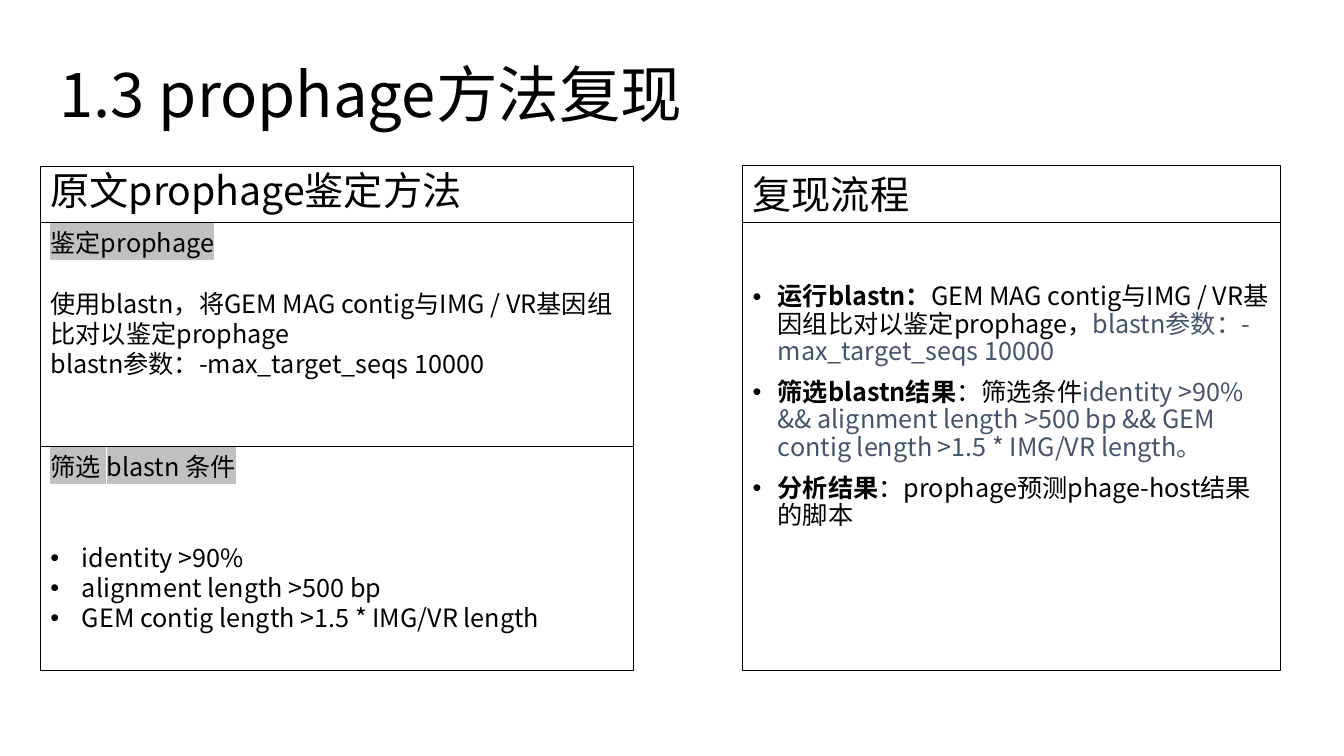
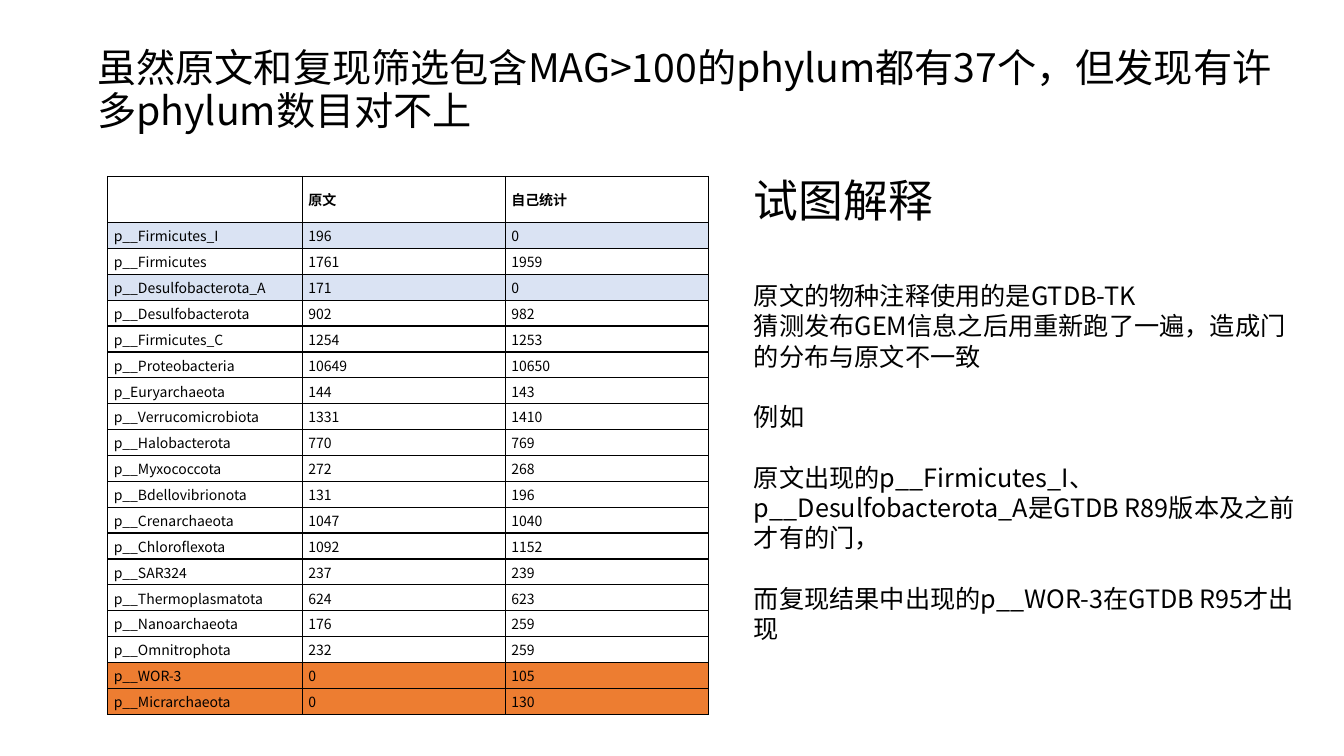
from lxml.etree import SubElement
from pptx import Presentation
from pptx.dml.color import RGBColor
from pptx.enum.shapes import MSO_SHAPE
from pptx.enum.text import MSO_ANCHOR, PP_ALIGN
from pptx.oxml.ns import qn
from pptx.util import Pt

FONT = "Noto Sans CJK SC"
BLACK = RGBColor(0x00, 0x00, 0x00)
WHITE = RGBColor(0xFF, 0xFF, 0xFF)
SLATE = RGBColor(0x44, 0x54, 0x6A)
GREY = RGBColor(0xC0, 0xC0, 0xC0)
PALE_BLUE = RGBColor(0xDA, 0xE3, 0xF3)
ORANGE = RGBColor(0xED, 0x7D, 0x31)
TIGHT = 0.9

# A paragraph is a list of (text, look) runs plus its format.
PLAIN, BOLD, ACCENT, MARKED = "plain", "bold", "accent", "marked"


def para(*runs, size=18, before=0, line=1.0, hang=0):
    runs = [(run, PLAIN) if isinstance(run, str) else run for run in runs]
    return dict(runs=runs, size=size, before=before, line=line, hang=hang)


def step(*runs):
    return para(*runs, before=10, line=TIGHT, hang=18)


METHOD_TITLE = para("1.3 prophage方法复现", size=44, line=TIGHT)
# (left, top, width, height), top inset, paragraphs
METHOD_BOXES = [
    ((29, 119, 423.5, 40), 3.6,
     [para("原文prophage鉴定方法", size=28, line=TIGHT)]),
    ((29, 159, 423.5, 160), 3.6, [
        para(("鉴定prophage", MARKED)),
        para("使用blastn，将GEM MAG contig与IMG / VR基因组比对以鉴定prophage",
             before=21.6),
        para("blastn参数：-max_target_seqs 10000"),
    ]),
    ((29, 319, 423.5, 160), 3.6, [
        para(("筛选 blastn 条件", MARKED)),
        para("identity >90%", before=43.2, hang=22.5),
        para("alignment length >500 bp", hang=22.5),
        para("GEM contig length >1.5 * IMG/VR length", hang=22.5),
    ]),
    ((530.5, 159, 384.5, 320), 44, [
        step(("运行blastn：", BOLD),
             "GEM MAG contig与IMG / VR基因组比对以鉴定prophage，",
             ("blastn参数：-max_target_seqs 10000", ACCENT)),
        step(("筛选blastn结果", BOLD), "：筛选条件",
             ("identity >90% && alignment length >500 bp && "
              "GEM contig length >1.5 * IMG/VR length。", ACCENT)),
        step(("分析结果", BOLD), "：prophage预测phage-host结果的脚本"),
    ]),
    ((530.5, 118, 384.5, 41), 3.6, [para("复现流程", size=28)]),
]

PHYLUM_TITLE = para(
    "虽然原文和复现筛选包含MAG>100的phylum都有37个，但发现有许多phylum数目对不上",
    size=28, line=TIGHT)
PHYLUM_HEADER = ("", "原文", "自己统计")
PHYLUM_COUNTS = [
    ("p__Firmicutes_I", 196, 0),
    ("p__Firmicutes", 1761, 1959),
    ("p__Desulfobacterota_A", 171, 0),
    ("p__Desulfobacterota", 902, 982),
    ("p__Firmicutes_C", 1254, 1253),
    ("p__Proteobacteria", 10649, 10650),
    ("p_Euryarchaeota", 144, 143),
    ("p__Verrucomicrobiota", 1331, 1410),
    ("p__Halobacterota", 770, 769),
    ("p__Myxococcota", 272, 268),
    ("p__Bdellovibrionota", 131, 196),
    ("p__Crenarchaeota", 1047, 1040),
    ("p__Chloroflexota", 1092, 1152),
    ("p__SAR324", 237, 239),
    ("p__Thermoplasmatota", 624, 623),
    ("p__Nanoarchaeota", 176, 259),
    ("p__Omnitrophota", 232, 259),
    ("p__WOR-3", 0, 105),
    ("p__Micrarchaeota", 0, 130),
]
PHYLUM_COLUMNS = (139, 145, 145)
HEADER_HEIGHT, ROW_HEIGHT = 33, 18.5
EXPLANATION = [
    para("试图解释", size=32),
    para("原文的物种注释使用的是GTDB-TK", before=38.4),
    para("猜测发布GEM信息之后用重新跑了一遍，造成门的分布与原文不一致"),
    para("例如", before=21.6),
    para("原文出现的p__Firmicutes_I、p__Desulfobacterota_A是GTDB R89版本及之前才有的门，",
         before=21.6),
    para("而复现结果中出现的p__WOR-3在GTDB R95才出现", before=21.6),
]


def set_font(font, size, bold=False):
    font.size, font.bold, font.name = Pt(size), bold, FONT
    font.color.rgb = BLACK


def set_east_asian(paragraph):
    properties = paragraph._p.get_or_add_pPr().find(qn("a:defRPr"))
    SubElement(properties, qn("a:ea"), typeface=FONT)


def add_run(paragraph, text, look):
    run = paragraph.add_run()
    run.text = text
    if look == BOLD:
        run.font.bold = True
    elif look == ACCENT:
        run.font.color.rgb = SLATE
    elif look == MARKED:
        highlight = SubElement(run._r.get_or_add_rPr(), qn("a:highlight"))
        SubElement(highlight, qn("a:srgbClr"), val=str(GREY))


def write(frame, paragraphs, anchor=MSO_ANCHOR.TOP):
    frame.word_wrap = True
    frame.vertical_anchor = anchor
    for index, content in enumerate(paragraphs):
        paragraph = frame.add_paragraph() if index else frame.paragraphs[0]
        paragraph.alignment = PP_ALIGN.LEFT
        paragraph.line_spacing = content["line"]
        paragraph.space_before = Pt(content["before"])
        if content["hang"]:
            properties = paragraph._p.get_or_add_pPr()
            properties.set("marL", str(Pt(content["hang"])))
            properties.set("indent", str(-Pt(content["hang"])))
            SubElement(properties, qn("a:buFont"), typeface="Arial")
            SubElement(properties, qn("a:buChar"), char="•")
        set_font(paragraph.font, content["size"])
        set_east_asian(paragraph)
        for text, look in content["runs"]:
            add_run(paragraph, text, look)


def add_text(slide, place, paragraphs, anchor=MSO_ANCHOR.TOP):
    box = slide.shapes.add_textbox(*map(Pt, place))
    write(box.text_frame, paragraphs, anchor)


def add_framed_text(slide, place, top_inset, paragraphs):
    box = slide.shapes.add_shape(MSO_SHAPE.RECTANGLE, *map(Pt, place))
    box.shadow.inherit = False
    box.fill.background()
    box.line.color.rgb = BLACK
    box.line.width = Pt(0.75)
    box.text_frame.margin_top = Pt(top_inset)
    write(box.text_frame, paragraphs)


def add_borders(cell):
    properties = cell._tc.get_or_add_tcPr()
    for side in ("a:lnL", "a:lnR", "a:lnT", "a:lnB"):
        border = SubElement(properties, qn(side), w=str(Pt(1)))
        fill = SubElement(border, qn("a:solidFill"))
        SubElement(fill, qn("a:srgbClr"), val=str(BLACK))


def row_colour(original, recount):
    """Highlights phyla that only one of the two counts contains."""
    if recount == 0:
        return PALE_BLUE
    return ORANGE if original == 0 else WHITE


def fill_cell(cell, text, colour, bold):
    add_borders(cell)
    cell.fill.solid()
    cell.fill.fore_color.rgb = colour
    cell.vertical_anchor = MSO_ANCHOR.MIDDLE
    cell.margin_left = cell.margin_right = Pt(4.3)
    cell.margin_top = cell.margin_bottom = Pt(2.2)
    paragraph = cell.text_frame.paragraphs[0]
    set_font(paragraph.font, 10, bold)
    set_east_asian(paragraph)
    if text:
        add_run(paragraph, text, PLAIN)


def add_phylum_table(slide, left, top):
    rows = [PHYLUM_HEADER] + PHYLUM_COUNTS
    height = HEADER_HEIGHT + ROW_HEIGHT * len(PHYLUM_COUNTS)
    table = slide.shapes.add_table(
        len(rows), len(PHYLUM_COLUMNS), Pt(left), Pt(top),
        Pt(sum(PHYLUM_COLUMNS)), Pt(height)).table
    table.first_row = table.horz_banding = False
    for column, width in zip(table.columns, PHYLUM_COLUMNS):
        column.width = Pt(width)
    for index, values in enumerate(rows):
        is_header = index == 0
        table.rows[index].height = Pt(HEADER_HEIGHT if is_header else ROW_HEIGHT)
        colour = WHITE if is_header else row_colour(*values[1:])
        for cell, value in zip(table.rows[index].cells, values):
            fill_cell(cell, str(value), colour, is_header)


def main():
    deck = Presentation()
    deck.slide_width, deck.slide_height = Pt(960), Pt(540)
    blank = deck.slide_layouts[6]

    method = deck.slides.add_slide(blank)
    add_text(method, (35.5, 17.5, 828, 104), [METHOD_TITLE], MSO_ANCHOR.MIDDLE)
    for place, top_inset, paragraphs in METHOD_BOXES:
        add_framed_text(method, place, top_inset, paragraphs)

    phyla = deck.slides.add_slide(blank)
    add_text(phyla, (62.5, 31.5, 857, 94), [PHYLUM_TITLE])
    add_phylum_table(phyla, 77, 126)
    add_text(phyla, (531.5, 120, 404, 346), EXPLANATION)

    deck.save("out.pptx")


if __name__ == "__main__":
    main()
